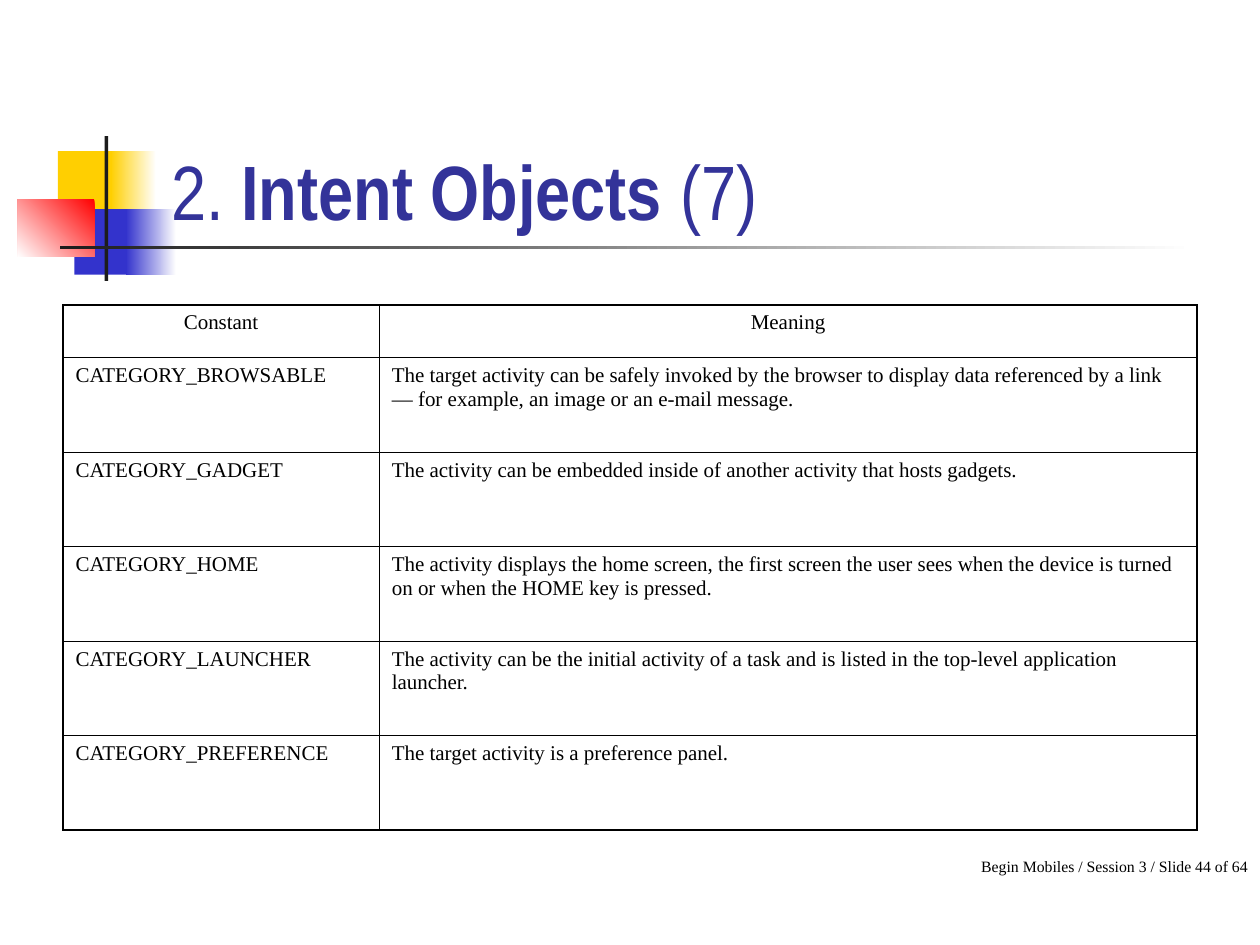
from pptx import Presentation
from pptx.dml.color import RGBColor
from pptx.enum.shapes import MSO_SHAPE
from pptx.enum.text import MSO_ANCHOR, PP_ALIGN
from pptx.oxml import parse_xml
from pptx.oxml.ns import nsdecls
from pptx.util import Inches, Pt

RECTANGLE = MSO_SHAPE.RECTANGLE
BOTTOM, TOP = MSO_ANCHOR.BOTTOM, MSO_ANCHOR.TOP
LEFT, CENTER, RIGHT = PP_ALIGN.LEFT, PP_ALIGN.CENTER, PP_ALIGN.RIGHT

WHITE = RGBColor(0xFF, 0xFF, 0xFF)
BLACK = RGBColor(0x00, 0x00, 0x00)
YELLOW = RGBColor(0xFF, 0xCF, 0x01)
BLUE = RGBColor(0x33, 0x33, 0xCC)
RED = RGBColor(0xFF, 0x00, 0x00)
CHARCOAL = RGBColor(0x1C, 0x1C, 0x1C)
TITLE_BLUE = RGBColor(0x33, 0x33, 0x99)

TITLE_FORMAT = {"name": "Arial Narrow", "size": Pt(44)}
TABLE_FORMAT = {"name": "Times New Roman", "size": Pt(12)}
FOOTER_FORMAT = {"name": "Times New Roman", "size": Pt(9)}

OUTER_BORDER, INNER_BORDER = Pt(1.08), Pt(0.45)

# Left, top, width, height, gradient colours or one solid colour, angle
DECORATIONS = [
    (0.46, 1.2, 0.48, 0.52, [YELLOW], 0),
    (0.88, 1.2, 0.36, 0.52, [WHITE, YELLOW], 180),
    (0.59, 1.66, 0.46, 0.52, [BLUE], 0),
    (1, 1.66, 0.4, 0.52, [WHITE, BLUE], 180),
    (0.14, 1.58, 0.61, 0.46, [RED, WHITE], 225),
    (0.83, 1.08, 0.03, 1.15, [CHARCOAL], 0),
    (0.48, 1.95, 9, 0.03, [WHITE, CHARCOAL], 180),
]

CATEGORY_ROWS = [
    ("Constant", "Meaning"),
    ("CATEGORY_BROWSABLE",
     "The target activity can be safely invoked by the browser to display "
     "data referenced by a link — for example, an image or an e-mail message."),
    ("CATEGORY_GADGET",
     "The activity can be embedded inside of another activity that hosts gadgets."),
    ("CATEGORY_HOME",
     "The activity displays the home screen, the first screen the user sees "
     "when the device is turned on or when the HOME key is pressed."),
    ("CATEGORY_LAUNCHER",
     "The activity can be the initial activity of a task and is listed in the "
     "top-level application launcher."),
    ("CATEGORY_PREFERENCE", "The target activity is a preference panel."),
]
COLUMN_WIDTHS = [2.51, 6.49]
HEADER_HEIGHT, ROW_HEIGHT = 0.42, 0.75


def add_decoration(slide, left, top, width, height, colors, angle):
    shape = slide.shapes.add_shape(
        RECTANGLE, Inches(left), Inches(top), Inches(width), Inches(height))
    shape.shadow.inherit = False
    shape.line.fill.background()
    if len(colors) == 1:
        shape.fill.solid()
        shape.fill.fore_color.rgb = colors[0]
        return
    shape.fill.gradient()
    shape.fill.gradient_angle = angle
    for stop, color in zip(shape.fill.gradient_stops, colors):
        stop.color.rgb = color


def add_span(para, text, font_format, color, bold=False):
    span = para.add_run()
    span.text = text
    for name, value in font_format.items():
        setattr(span.font, name, value)
    span.font.bold = bold
    span.font.color.rgb = color


def add_text(slide, left, top, width, height, spans, font_format, color,
             align=LEFT, anchor=TOP):
    box = slide.shapes.add_textbox(
        Inches(left), Inches(top), Inches(width), Inches(height))
    frame = box.text_frame
    frame.word_wrap = True
    frame.vertical_anchor = anchor
    para = frame.paragraphs[0]
    para.alignment = align
    for text, bold in spans:
        add_span(para, text, font_format, color, bold)


def set_borders(cell, widths):
    properties = cell._tc.get_or_add_tcPr()
    # Borders must come before the fill, in the order L, R, T, B
    for index, (side, width) in enumerate(widths.items()):
        properties.insert(index, parse_xml(
            f'<a:ln{side} {nsdecls("a")} w="{int(width)}"><a:solidFill>'
            f'<a:srgbClr val="{BLACK}"/></a:solidFill></a:ln{side}>'))


def add_category_table(slide):
    row_count, column_count = len(CATEGORY_ROWS), len(COLUMN_WIDTHS)
    height = HEADER_HEIGHT + ROW_HEIGHT * (row_count - 1)
    table = slide.shapes.add_table(
        row_count, column_count, Inches(0.5), Inches(2.42),
        Inches(sum(COLUMN_WIDTHS)), Inches(height)).table
    for column, width in zip(table.columns, COLUMN_WIDTHS):
        column.width = Inches(width)

    for row, texts in enumerate(CATEGORY_ROWS):
        table.rows[row].height = Inches(ROW_HEIGHT if row else HEADER_HEIGHT)
        for column, text in enumerate(texts):
            cell = table.cell(row, column)
            cell.fill.background()
            para = cell.text_frame.paragraphs[0]
            para.alignment = LEFT if row else CENTER
            add_span(para, text, TABLE_FORMAT, BLACK)
            on_edge = {"L": column == 0, "R": column == column_count - 1,
                       "T": row == 0, "B": row == row_count - 1}
            set_borders(cell, {side: OUTER_BORDER if edge else INNER_BORDER
                               for side, edge in on_edge.items()})


def main():
    deck = Presentation()
    deck.slide_width, deck.slide_height = Inches(10), Inches(7.5)
    slide = deck.slides.add_slide(deck.slide_layouts[6])

    # Coloured squares and rules beside the title
    for decoration in DECORATIONS:
        add_decoration(slide, *decoration)

    # Footer and title
    add_text(slide, 5.08, 6.75, 4.92, 0.25,
             [("Begin Mobiles / Session 3 / Slide 44 of 64", False)],
             FOOTER_FORMAT, BLACK, align=RIGHT)
    add_text(slide, 1.26, 0.67, 8.52, 1.25,
             [("2. ", False), ("Intent Objects ", True), ("(7)", False)],
             TITLE_FORMAT, TITLE_BLUE, anchor=BOTTOM)

    # Category constants
    add_category_table(slide)

    deck.save("out.pptx")


if __name__ == "__main__":
    main()
